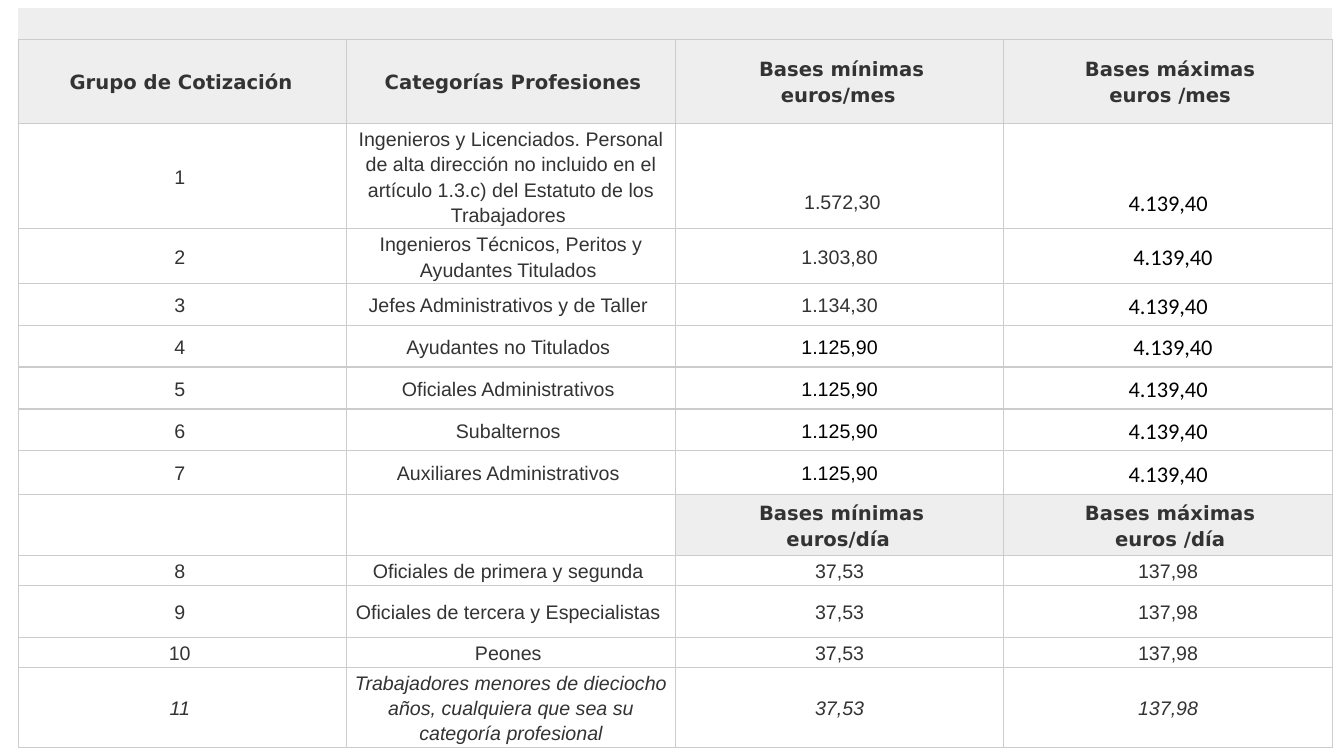
from pptx import Presentation
from pptx.dml.color import RGBColor as RGB
from pptx.enum.text import MSO_ANCHOR as Anchor, PP_ALIGN as Align
from pptx.oxml.ns import qn
from pptx.util import Pt
from lxml.etree import SubElement

COLORS = {"text": "333333", "black": "000000", "head": "EEEEEE",
          "white": "FFFFFF", "line": "CCCCCC"}
FONTS = {"head": "DejaVu Sans", "body": "Arial", "max": "Calibri"}
COL_WIDTH = 234.7
ROW_HEIGHTS = [22, 60, 74.5, 38.5, 29.9, 29.9, 29.9, 29.9, 31, 44, 20, 37.5, 20, 56.5]

MONTH_HEADS = ["Grupo de Cotización ", "Categorías Profesiones",
               "Bases mínimas\neuros/mes ", "Bases máximas\neuros /mes"]
DAY_HEADS = ["", "", "Bases mínimas\neuros/día ", "Bases máximas\neuros /día"]
MONTHLY = [
    ("Ingenieros y Licenciados. Personal de alta dirección no incluido en el "
     "artículo 1.3.c) del Estatuto de los Trabajadores ", "1.572,30"),
    ("Ingenieros Técnicos, Peritos y Ayudantes Titulados ", "1.303,80"),
    ("Jefes Administrativos y de Taller ", "1.134,30"),
    ("Ayudantes no Titulados ", "1.125,90"),
    ("Oficiales Administrativos ", "1.125,90"),
    ("Subalternos ", "1.125,90"),
    ("Auxiliares Administrativos ", "1.125,90"),
]
DAILY = [
    "Oficiales de primera y segunda ",
    "Oficiales de tercera y Especialistas ",
    "Peones ",
    "Trabajadores menores de dieciocho años, cualquiera que sea su categoría profesional",
]
MONTHLY_MAX, DAILY_MIN, DAILY_MAX = "4.139,40", "37,53", "137,98"


class Deck:
    def __init__(self, prs):
        self.s = prs.slides.add_slide(prs.slide_layouts[6])

    def table(self, left, top, heights, cols, col_width):
        frame = self.s.shapes.add_table(len(heights), cols, Pt(left), Pt(top),
                                        Pt(cols * col_width), Pt(sum(heights)))
        table = frame.table
        table.first_row = table.horz_banding = False
        for col in table.columns:
            col.width = Pt(col_width)
        for row, height in zip(table.rows, heights):
            row.height = Pt(height)
        return table

    def borders(self, cell, sides):
        props = cell._tc.get_or_add_tcPr()
        for i, side in enumerate(("L", "R", "T", "B")):
            line = SubElement(props, qn(f"a:ln{side}"), w=str(Pt(1)))
            if side in sides:
                fill = SubElement(line, qn("a:solidFill"))
                SubElement(fill, qn("a:srgbClr"), val=COLORS["line"])
            else:
                SubElement(line, qn("a:noFill"))
            props.remove(line)
            props.insert(i, line)

    def cell(self, cell, text="", font="body", size=14, color="text", fill="white",
             bold=False, italic=False, before=0, left=0, right=0, top=1.5, sides="LRTB"):
        cell.fill.solid()
        cell.fill.fore_color.rgb = RGB.from_string(COLORS[fill])
        self.borders(cell, sides)
        cell.vertical_anchor = Anchor.MIDDLE
        cell.margin_left, cell.margin_right = Pt(left), Pt(right)
        cell.margin_top, cell.margin_bottom = Pt(top), Pt(1.5)
        p = cell.text_frame.paragraphs[0]
        p.text = text
        p.alignment = Align.CENTER
        p.line_spacing = 1.15
        p.space_before, p.space_after = Pt(before), Pt(10)
        f = p.font
        f.name, f.size, f.bold, f.italic = FONTS[font], Pt(size), bold, italic
        f.color.rgb = RGB.from_string(COLORS[color])

    def heads(self, cells, texts):
        for cell, text in zip(cells, texts):
            if text:
                self.cell(cell, text, "head", fill="head", bold=True, left=3.6, right=0.7)
            else:
                self.cell(cell)


def main():
    prs = Presentation()
    prs.slide_width, prs.slide_height = Pt(960), Pt(540)
    deck = Deck(prs)
    table = deck.table(13, 6, ROW_HEIGHTS, 4, COL_WIDTH)
    rows = [[table.cell(r, c) for c in range(4)] for r in range(len(ROW_HEIGHTS))]

    for cell in rows[0]:
        deck.cell(cell, size=12, fill="head", sides="B")
    rows[0][0].merge(rows[0][3])
    deck.heads(rows[1], MONTH_HEADS)

    for group, (category, minimum) in enumerate(MONTHLY, 1):
        cells = rows[group + 1]
        top = 38 if group == 1 else 1.5
        deck.cell(cells[0], f"{group} ", before=1.5)
        deck.cell(cells[1], category, before=1.5)
        deck.cell(cells[2], minimum, color="black" if group > 3 else "text",
                  before=1.5, top=top, left=4 if group == 1 else 0)
        deck.cell(cells[3], MONTHLY_MAX, "max", 16, "black", top=top,
                  left=7 if group in (2, 4) else 0)

    deck.heads(rows[9], DAY_HEADS)
    for group, category in enumerate(DAILY, 8):
        texts = (f"{group} ", category, DAILY_MIN, DAILY_MAX)
        for cell, text in zip(rows[group + 2], texts):
            deck.cell(cell, text, italic=group == 11, before=1.5)

    prs.save("out.pptx")


if __name__ == "__main__":
    main()
